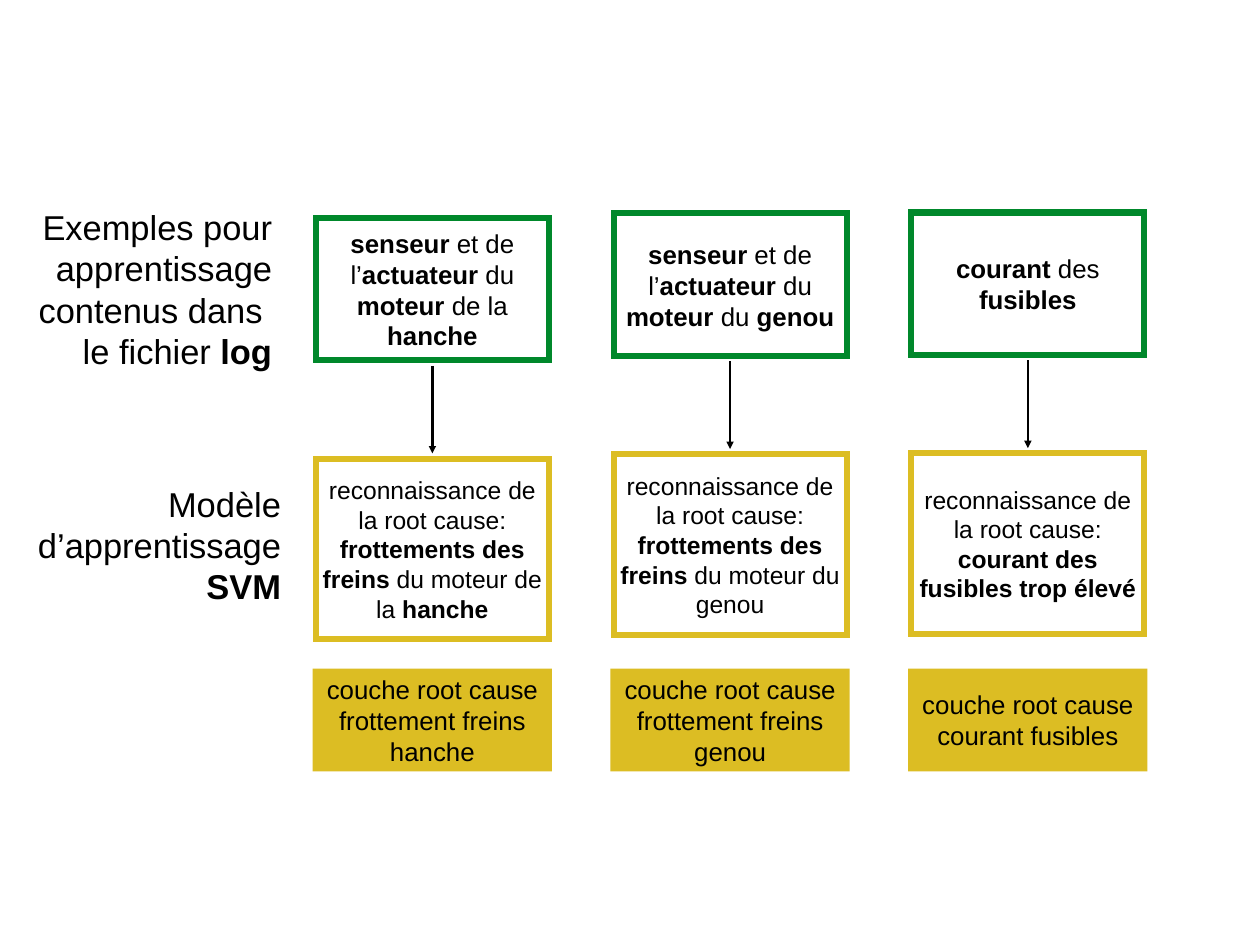
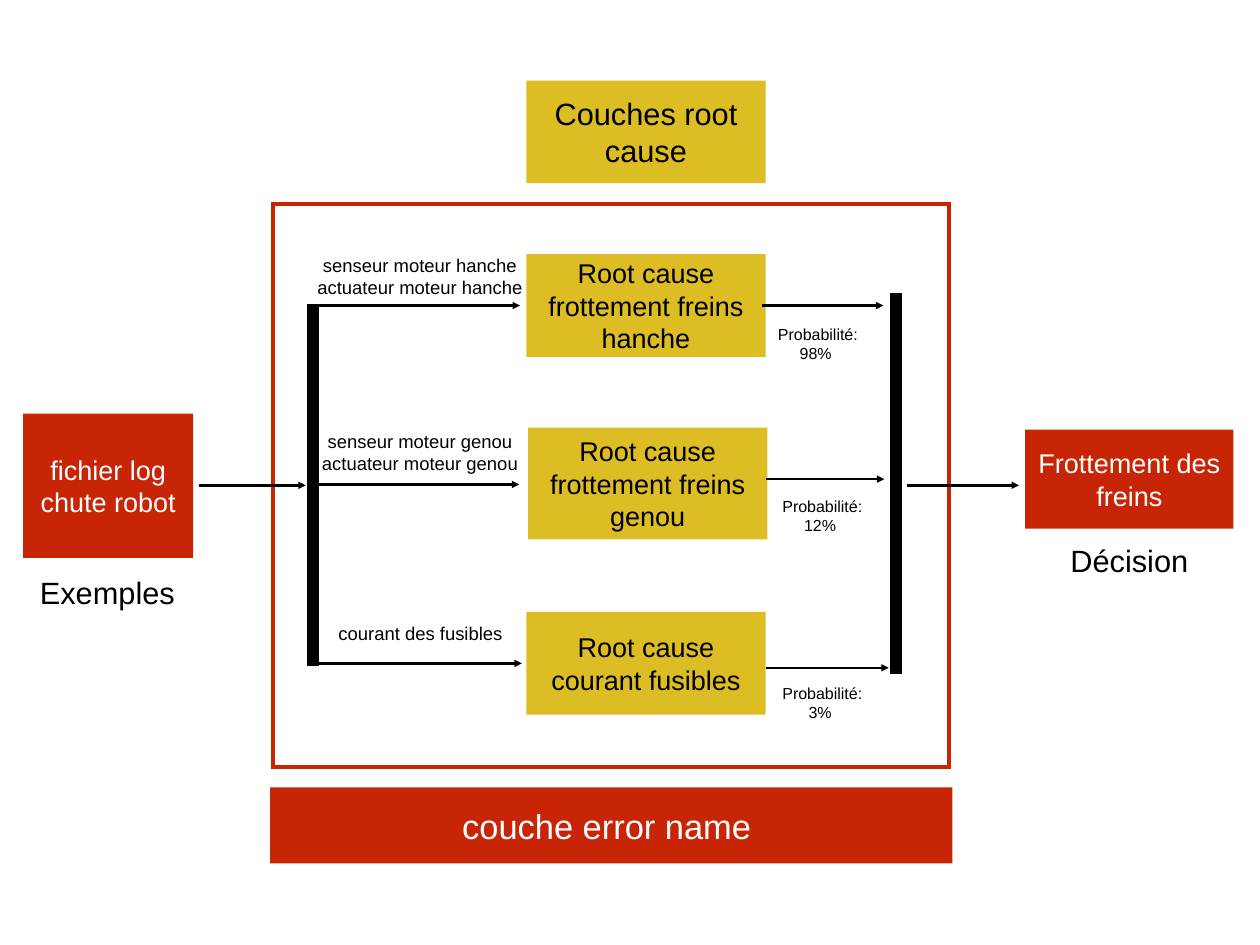
from lxml import etree
from pptx import Presentation
from pptx.dml.color import RGBColor
from pptx.enum import shapes, text
from pptx.oxml import ns
from pptx.util import Inches, Pt

GREEN = RGBColor(0x00, 0x88, 0x2B)
YELLOW = RGBColor(0xDC, 0xBD, 0x23)
RED = RGBColor(0xC8, 0x25, 0x06)
BLACK = RGBColor(0, 0, 0)
WHITE = RGBColor(0xFF, 0xFF, 0xFF)
FONT = "Arial"
INSET = 0.06
LAYER_WIDTH, LAYER_HEIGHT = 2.7, 1.16
CENTER, RIGHT, LEFT = text.PP_ALIGN.CENTER, text.PP_ALIGN.RIGHT, text.PP_ALIGN.LEFT


def write(shape, content, size, color=BLACK, align=CENTER, wrap=True):
    """Fill a shape with lines of text; **words** are bold."""
    frame = shape.text_frame
    frame.word_wrap = wrap
    frame.vertical_anchor = text.MSO_ANCHOR.MIDDLE
    frame.margin_left = frame.margin_right = Inches(INSET)
    frame.margin_top = frame.margin_bottom = Inches(INSET)
    for number, line in enumerate(content.split("\n")):
        para = frame.paragraphs[0] if number == 0 else frame.add_paragraph()
        para.alignment = align
        for part, words in enumerate(line.split("**")):
            if words:
                span = para.add_run()
                span.text = words
                span.font.name = FONT
                span.font.size = Pt(size)
                span.font.bold = part % 2 == 1
                span.font.color.rgb = color


def add_label(page, place, content, size, align=CENTER, wrap=True):
    box = page.shapes.add_textbox(*map(Inches, place))
    write(box, content, size, align=align, wrap=wrap)


def add_rectangle(page, place):
    box = page.shapes.add_shape(shapes.MSO_SHAPE.RECTANGLE, *map(Inches, place))
    box.shadow.inherit = False
    return box


def add_block(page, place, fill, content, size, color=BLACK):
    box = add_rectangle(page, place)
    box.fill.solid()
    box.fill.fore_color.rgb = fill
    box.line.fill.background()
    write(box, content, size, color)


def add_frame(page, place, color, weight, content="", size=20):
    box = add_rectangle(page, place)
    box.fill.background()
    box.line.color.rgb = color
    box.line.width = Pt(weight)
    etree.SubElement(box.line._get_or_add_ln(), ns.qn("a:miter"), lim="800000")
    write(box, content, size)


def add_line(page, start, end, weight=2, arrow=True):
    line = page.shapes.add_connector(
        shapes.MSO_CONNECTOR.STRAIGHT, *map(Inches, (*start, *end)))
    line.line.color.rgb = BLACK
    line.line.width = Pt(weight)
    if arrow:
        etree.SubElement(line.line._get_or_add_ln(), ns.qn("a:tailEnd"), type="triangle")
    etree.SubElement(line._element.spPr, ns.qn("a:effectLst"))


def build_training(page):
    # Row headings
    add_label(page, (0.22, 2.26, 2.91, 2),
              "Exemples pour\n apprentissage\ncontenus dans \nle fichier **log**",
              28, RIGHT, wrap=False)
    add_label(page, (0.11, 5.21, 3.12, 1.88),
              "Modèle\nd’apprentissage **SVM**", 28, RIGHT)

    # One column per root cause: top, example, model, layer
    cause = "reconnaissance de la root cause: "
    columns = [
        (2.46, "**senseur** et de l’**actuateur** du **moteur **de la** hanche**",
         "**frottements des freins **du moteur de la** hanche**",
         "frottement freins hanche"),
        (2.41, "**senseur** et de l’**actuateur** du **moteur **du **genou**",
         "**frottements des freins **du moteur du genou",
         "frottement freins genou"),
        (2.4, "**courant **des **fusibles**",
         "**courant des fusibles trop élevé**", "courant fusibles"),
    ]
    width = 2.63
    for number, (top, example, model, layer) in enumerate(columns):
        center = 4.88 + 3.36 * number
        left = center - width / 2
        add_frame(page, (left, top, width, 1.61), GREEN, 5, example, 21)
        add_line(page, (center, top + 1.67), (center, top + 2.66))
        add_frame(page, (left, top + 2.72, width, 2.04), YELLOW, 5, cause + model)
        add_block(page, (center - LAYER_WIDTH / 2, 7.55, LAYER_WIDTH, LAYER_HEIGHT),
                  YELLOW, "couche root cause " + layer, 21)


def build_decision(page):
    # Error layer and legend
    add_frame(page, (3.08, 2.3, 7.63, 6.36), RED, 3)
    add_block(page, (3.05, 8.89, 7.7, 0.86), RED, "couche error name ", 28, WHITE)
    add_block(page, (5.94, 0.91, LAYER_WIDTH, LAYER_HEIGHT), YELLOW,
              "Couches root cause", 25)

    # Input and output
    add_block(page, (0.26, 4.67, 1.92, 1.63), RED, "fichier log chute robot", 22, WHITE)
    add_label(page, (0.39, 6.42, 1.65, 0.53), "Exemples", 25, LEFT)
    add_line(page, (2.25, 5.48), (3.45, 5.48))
    add_block(page, (11.57, 4.85, 2.35, 1.12), RED, "Frottement des freins", 22, WHITE)
    add_label(page, (11.55, 6.06, 2.39, 0.53), "Décision", 25)
    add_line(page, (10.24, 5.48), (11.5, 5.48))

    # Root causes: layer, input arrow, output arrow, signal, probability
    causes = [
        ("frottement freins hanche", (5.94, 2.87, LAYER_HEIGHT), (3.45, 5.87),
         (3.45, 8.6, 9.97), "senseur moteur hanche\nactuateur moteur hanche",
         (3.51, 2.81, 2.46, 0.61), "98% ", (8.69, 3.6)),
        ("frottement freins genou", (5.96, 4.83, 1.26), (5.47, 5.86),
         (5.41, 8.65, 9.98), "senseur moteur genou\nactuateur moteur genou",
         (3.56, 4.8, 2.36, 0.61), "12% ", (8.74, 5.54)),
        ("courant fusibles", (5.94, 6.91, LAYER_HEIGHT), (7.49, 5.89),
         (7.54, 8.65, 10.03), "courant des fusibles",
         (3.74, 6.97, 2.01, 0.36), "3% ", (8.74, 7.65)),
    ]
    bus = 3.53
    for (name, (left, top, height), (in_y, in_end), (out_y, out_start, out_end),
         signal, signal_place, chance, chance_corner) in causes:
        add_block(page, (left, top, LAYER_WIDTH, height), YELLOW, "Root cause " + name, 22)
        add_line(page, (bus, in_y), (in_end, in_y))
        add_line(page, (out_start, out_y), (out_end, out_y))
        add_label(page, signal_place, signal, 15, wrap=False)
        add_label(page, (*chance_corner, 1.08, 0.56), "Probabilité:\n" + chance, 13,
                  wrap=False)

    # Collecting bars
    add_line(page, (bus, 3.43), (bus, 7.52), 10, arrow=False)
    add_line(page, (10.11, 3.31), (10.11, 7.61), 10, arrow=False)


def main():
    deck = Presentation()
    deck.slide_width, deck.slide_height = Inches(14.22), Inches(10.67)
    for build in (build_training, build_decision):
        build(deck.slides.add_slide(deck.slide_layouts[6]))
    deck.save("out.pptx")


if __name__ == "__main__":
    main()
